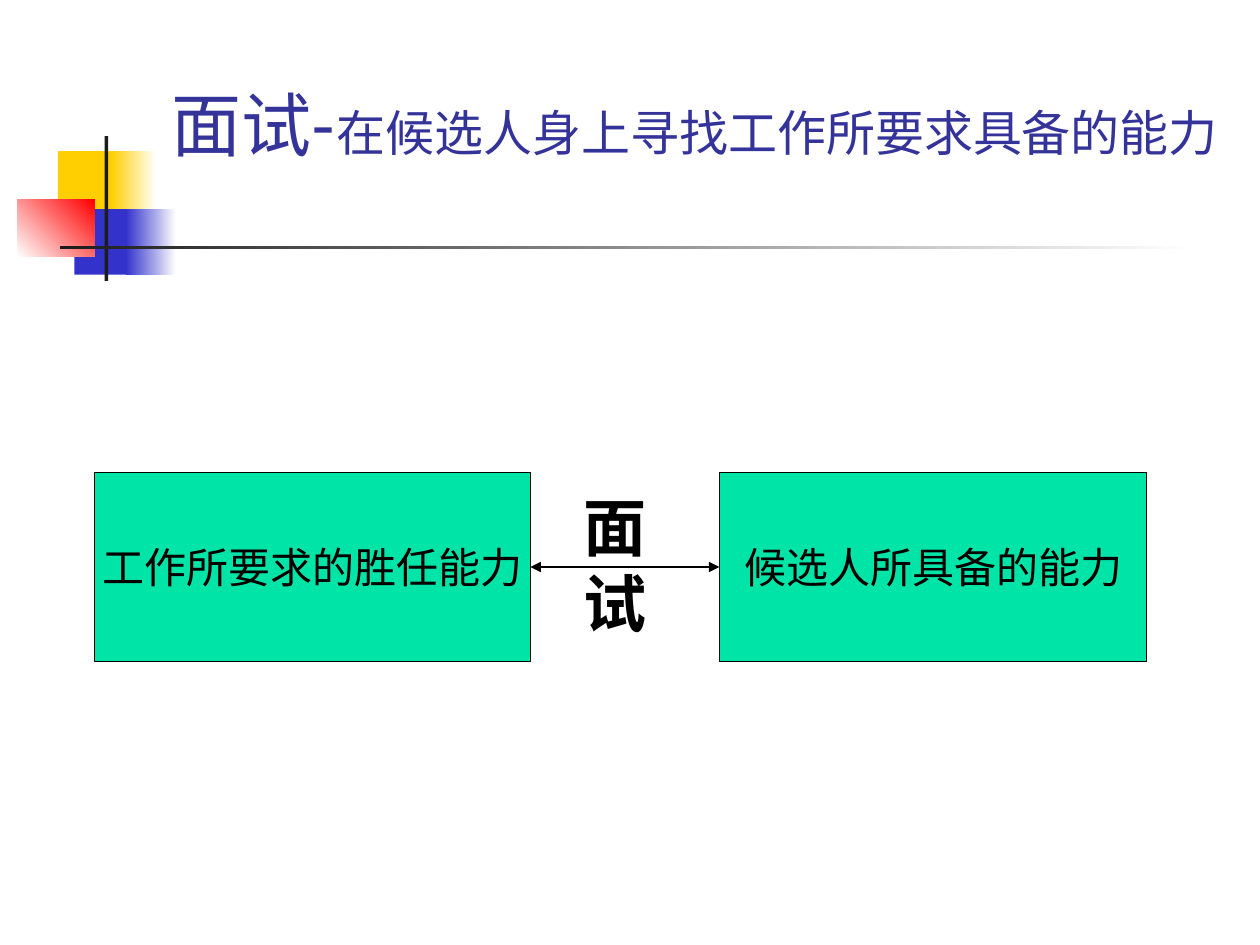
from dataclasses import dataclass
from typing import Optional

import pptx
import pptx.dml.color
import pptx.enum.shapes
import pptx.enum.text
import pptx.oxml.ns
import pptx.util
from lxml import etree
from pptx.dml.color import RGBColor
from pptx.util import Inches

WHITE = RGBColor(0xFF, 0xFF, 0xFF)
BLACK = RGBColor(0x00, 0x00, 0x00)
YELLOW = RGBColor(0xFF, 0xCF, 0x01)
BLUE = RGBColor(0x33, 0x33, 0xCC)
RED = RGBColor(0xFF, 0x00, 0x00)
CHARCOAL = RGBColor(0x1C, 0x1C, 0x1C)
NAVY = RGBColor(0x33, 0x33, 0x99)
GREEN = RGBColor(0x00, 0xE4, 0xA8)
FONT = "Lato"
RECTANGLE = pptx.enum.shapes.MSO_SHAPE.RECTANGLE
LINE_WIDTH = pptx.util.Pt(0.75)


@dataclass
class Block:
    left: float
    top: float
    width: float
    height: float
    color: RGBColor
    fade_angle: Optional[float] = None  # counter-clockwise, from white to color


@dataclass
class Ability:
    text: str
    left: float
    width: float


ORNAMENT = [
    Block(0.46, 1.2, 0.48, 0.52, YELLOW),
    Block(0.88, 1.2, 0.36, 0.52, YELLOW, 180),
    Block(0.59, 1.66, 0.46, 0.52, BLUE),
    Block(1, 1.66, 0.4, 0.52, BLUE, 180),
    Block(0.14, 1.58, 0.61, 0.46, RED, 45),
    Block(0.83, 1.08, 0.03, 1.15, CHARCOAL),
    Block(0.48, 1.95, 9, 0.03, CHARCOAL, 180),
]
ABILITIES = [
    Ability("工作所要求的胜任能力", 0.75, 3.46),
    Ability("候选人所具备的能力", 5.71, 3.39),
]


def style_font(font, size: float, color: RGBColor, bold: bool = False) -> None:
    font.name = FONT
    font.size = pptx.util.Pt(size)
    font.color.rgb = color
    font.bold = bold


def add_rectangle(page, left: float, top: float, width: float, height: float):
    box = page.shapes.add_shape(
        RECTANGLE, Inches(left), Inches(top), Inches(width), Inches(height))
    box.shadow.inherit = False
    return box


def add_block(page, block: Block) -> None:
    box = add_rectangle(page, block.left, block.top, block.width, block.height)
    box.line.fill.background()
    if block.fade_angle is None:
        box.fill.solid()
        box.fill.fore_color.rgb = block.color
        return
    box.fill.gradient()
    box.fill.gradient_angle = block.fade_angle
    for stop, position, color in zip(
            box.fill.gradient_stops, (0, 1), (WHITE, block.color)):
        stop.position = position
        stop.color.rgb = color


def add_ability(page, ability: Ability):
    box = add_rectangle(page, ability.left, 3.75, ability.width, 1.5)
    box.fill.solid()
    box.fill.fore_color.rgb = GREEN
    box.line.color.rgb = BLACK
    box.line.width = LINE_WIDTH
    box.text_frame.word_wrap = False
    box.text_frame.vertical_anchor = pptx.enum.text.MSO_ANCHOR.MIDDLE
    para = box.text_frame.paragraphs[0]
    para.text = ability.text
    para.alignment = pptx.enum.text.PP_ALIGN.CENTER
    style_font(para.font, 24, BLACK)
    return box


def add_double_arrow(page, start, end) -> None:
    arrow = page.shapes.add_connector(
        pptx.enum.shapes.MSO_CONNECTOR.CURVE, 0, 0, 0, 0)
    arrow.begin_connect(start, 3)
    arrow.end_connect(end, 1)
    arrow.line.color.rgb = BLACK
    arrow.line.width = LINE_WIDTH
    line = arrow.line._get_or_add_ln()
    for tag in ("a:headEnd", "a:tailEnd"):
        etree.SubElement(line, pptx.oxml.ns.qn(tag), type="triangle")
    etree.SubElement(arrow._element.spPr, pptx.oxml.ns.qn("a:effectLst"))


def add_text_box(page, left: float, top: float, width: float, height: float):
    box = page.shapes.add_textbox(
        Inches(left), Inches(top), Inches(width), Inches(height))
    box.text_frame.word_wrap = True
    return box.text_frame


def add_title(page) -> None:
    frame = add_text_box(page, 1.26, 0.23, 8.52, 1.6)
    frame.vertical_anchor = pptx.enum.text.MSO_ANCHOR.BOTTOM
    para = frame.paragraphs[0]
    style_font(para.font, 28, NAVY)
    for text, size in (("面试-", 40), ("在候选人身上寻找工作所要求具备的能力", 28)):
        span = para.add_run()
        span.text = text
        style_font(span.font, size, NAVY)
    # The title ends with a line break that lifts it above the rule
    para.add_line_break()
    para._p[-1].get_or_add_rPr().set("sz", "2800")


def add_interview_label(page) -> None:
    frame = add_text_box(page, 4.53, 3.83, 0.79, 1.3)
    para = frame.paragraphs[0]
    para.text = "面试"
    style_font(para.font, 36, BLACK, bold=True)


def main() -> None:
    deck = pptx.Presentation()
    deck.slide_width, deck.slide_height = Inches(10), Inches(7.5)
    page = deck.slides.add_slide(deck.slide_layouts[6])

    # Corner ornament and rule
    for block in ORNAMENT:
        add_block(page, block)

    add_title(page)

    # Two abilities linked by the interview
    required, offered = [add_ability(page, ability) for ability in ABILITIES]
    add_double_arrow(page, required, offered)
    add_interview_label(page)

    deck.save("out.pptx")


if __name__ == "__main__":
    main()
